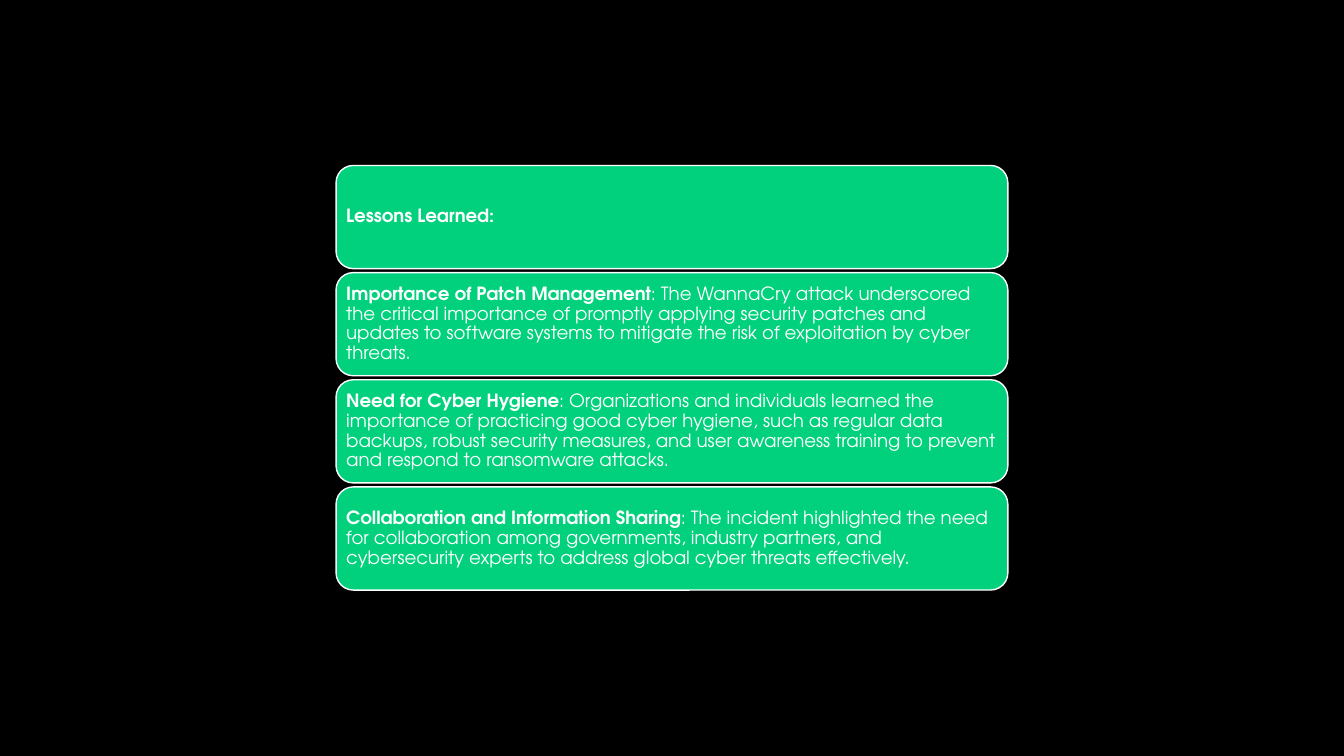
from pptx import Presentation
from pptx.dml.color import RGBColor
from pptx.enum.shapes import MSO_SHAPE
from pptx.enum.text import MSO_ANCHOR, PP_ALIGN
from pptx.util import Cm, Pt

ROUNDED = MSO_SHAPE.ROUNDED_RECTANGLE
MIDDLE = MSO_ANCHOR.MIDDLE
LEFT = PP_ALIGN.LEFT

COLOURS = {"background": "000000", "card": "01D17D", "white": "FFFFFF"}
FONT = "TeX Gyre Adventor"

SLIDE_WIDTH, SLIDE_HEIGHT = 33.87, 19.05
CARD_WIDTH, CARD_HEIGHT = 16.93, 2.6
CARD_LEFT = (SLIDE_WIDTH - CARD_WIDTH) / 2
FIRST_TOP, CARD_PITCH = 4.17, 2.7
CARD_INSET = 0.13

LESSONS = [
    ("Lessons Learned:", ""),
    ("Importance of Patch Management",
     ": The WannaCry attack underscored the critical importance of promptly "
     "applying security patches and updates to software systems to mitigate "
     "the risk of exploitation by cyber threats."),
    ("Need for Cyber Hygiene",
     ": Organizations and individuals learned the importance of practicing "
     "good cyber hygiene, such as regular data backups, robust security "
     "measures, and user awareness training to prevent and respond to "
     "ransomware attacks."),
    ("Collaboration and Information Sharing",
     ": The incident highlighted the need for collaboration among "
     "governments, industry partners, and cybersecurity experts to address "
     "global cyber threats effectively."),
]


def colour(name):
    return RGBColor.from_string(COLOURS[name])


def paint_background(slide):
    fill = slide.background.fill
    fill.solid()
    fill.fore_color.rgb = colour("background")


def add_run(paragraph, text, bold):
    run = paragraph.add_run()
    run.text = text
    run.font.name = FONT
    run.font.size = Pt(13)
    run.font.bold = bold
    run.font.color.rgb = colour("white")


def add_lesson(slide, top, heading, detail):
    card = slide.shapes.add_shape(
        ROUNDED, Cm(CARD_LEFT), Cm(top), Cm(CARD_WIDTH), Cm(CARD_HEIGHT))
    card.shadow.inherit = False
    card.fill.solid()
    card.fill.fore_color.rgb = colour("card")
    card.line.color.rgb = colour("white")
    card.line.width = Pt(1)

    frame = card.text_frame
    frame.word_wrap = True
    frame.vertical_anchor = MIDDLE
    frame.margin_left = frame.margin_right = Cm(CARD_INSET)
    frame.margin_top = frame.margin_bottom = Cm(CARD_INSET)

    paragraph = frame.paragraphs[0]
    paragraph.alignment = LEFT
    paragraph.line_spacing = 0.9
    add_run(paragraph, heading, True)
    if detail:
        add_run(paragraph, detail, False)


def main():
    deck = Presentation()
    deck.slide_width = Cm(SLIDE_WIDTH)
    deck.slide_height = Cm(SLIDE_HEIGHT)
    slide = deck.slides.add_slide(deck.slide_layouts[6])
    paint_background(slide)
    for row, (heading, detail) in enumerate(LESSONS):
        add_lesson(slide, FIRST_TOP + row * CARD_PITCH, heading, detail)
    deck.save("out.pptx")


if __name__ == "__main__":
    main()
